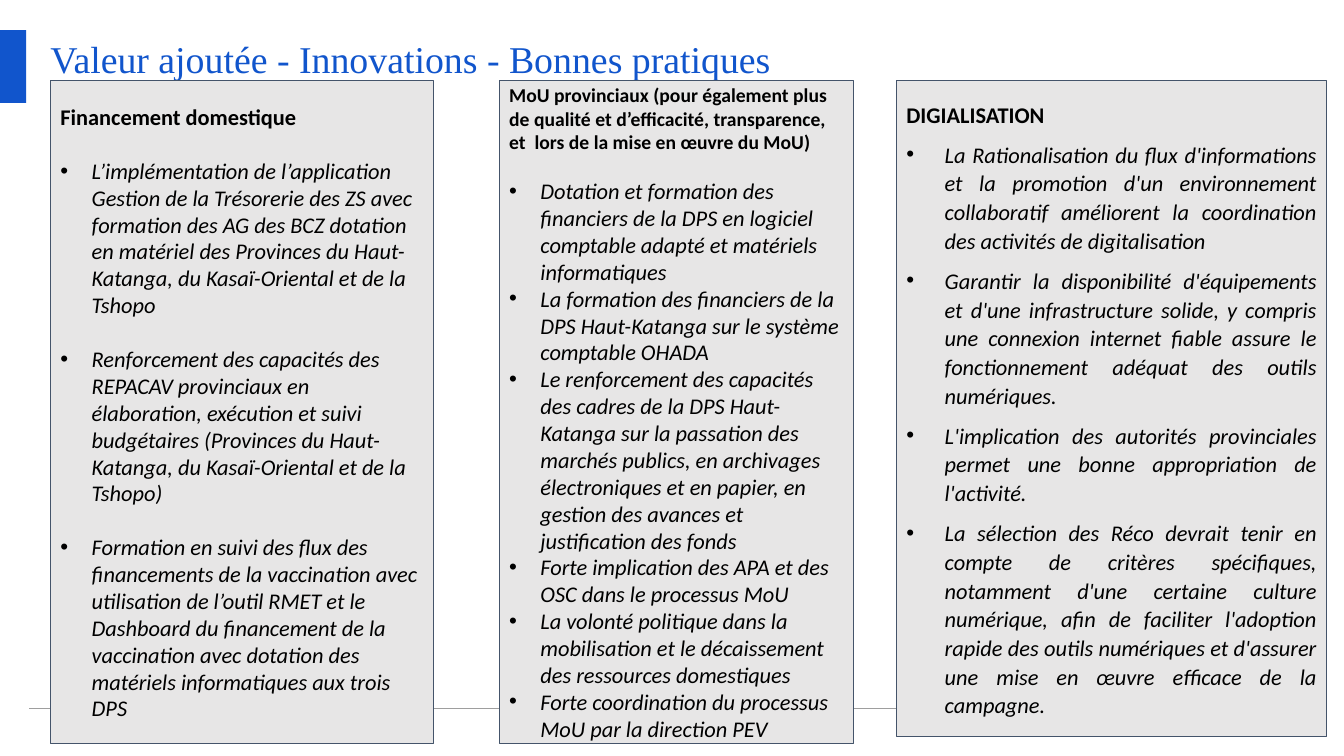
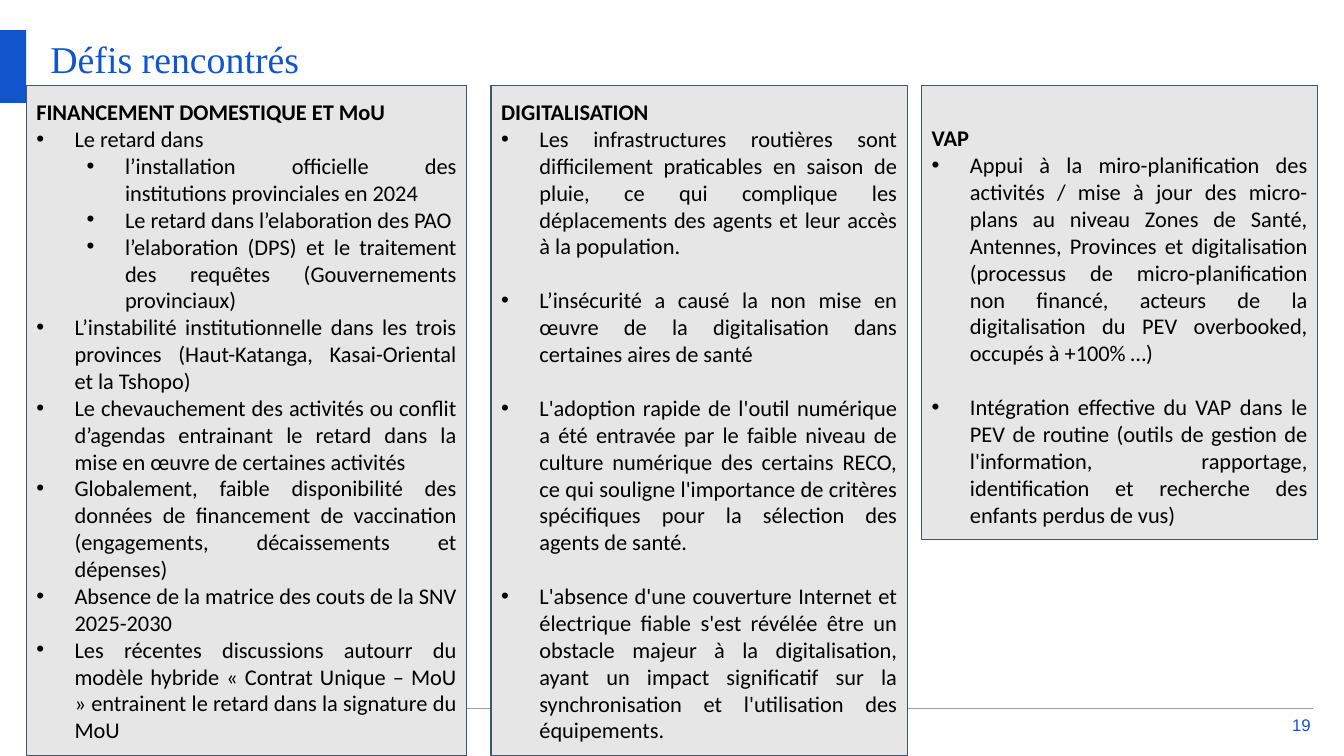
import pptx
import pptx.dml.color
import pptx.enum.shapes
import pptx.enum.text
import pptx.oxml
import pptx.oxml.ns
import pptx.util

Inches = pptx.util.Inches
Pt = pptx.util.Pt
ALIGN = pptx.enum.text.PP_ALIGN
ANCHOR = pptx.enum.text.MSO_ANCHOR

COLORS = {
    "accent": "1155CC",
    "rule": "9E9E9E",
    "panel": "E7E6E6",
    "border": "44546A",
    "text": "000000",
}
BLANK_LINE = 19.3  # height in points of one line of 16 pt text
SUB_INDENT = 0.5


def rgb(name):
    return pptx.dml.color.RGBColor.from_string(COLORS[name])


def add_element(parent, tag, **attributes):
    element = pptx.oxml.parse_xml(f"<{tag} {pptx.oxml.ns.nsdecls('a')}/>")
    for name, value in attributes.items():
        element.set(name, value)
    parent.append(element)


class Deck:
    """Holds the shared style and the slide being built."""

    def __init__(self):
        self.presentation = pptx.Presentation()
        self.presentation.slide_width = Inches(13.33)
        self.presentation.slide_height = Inches(7.5)
        self.slide = None

    def new_slide(self, title, number=None):
        # The comparison layout offers a title and four body placeholders
        layout = self.presentation.slide_layouts[4]
        self.slide = self.presentation.slides.add_slide(layout)
        self.title(title)
        self.band()
        if number:
            self.page_number(number)
        self.footer_rule()

    def place(self, shape, left, top, width, height):
        shape.left, shape.top = Inches(left), Inches(top)
        shape.width, shape.height = Inches(width), Inches(height)

    def frame(self, shape, margin, anchor):
        text_frame = shape.text_frame
        text_frame.word_wrap = True
        text_frame.auto_size = pptx.enum.text.MSO_AUTO_SIZE.NONE
        text_frame.vertical_anchor = anchor
        text_frame.margin_left = text_frame.margin_right = Inches(margin)
        text_frame.margin_top = text_frame.margin_bottom = Inches(margin)
        return text_frame

    def format(self, paragraph, font, size, color, align, bold=False, italic=False):
        paragraph.alignment = align
        for run in paragraph.runs:
            run.font.name = font
            run.font.size = Pt(size)
            run.font.bold = bold
            run.font.italic = italic
            run.font.color.rgb = rgb(color)

    def title(self, text):
        shape = self.slide.shapes.title
        self.place(shape, 0.5, 0.35, 12.33, 0.8)
        text_frame = self.frame(shape, 0, ANCHOR.TOP)
        text_frame.text = text
        self.format(text_frame.paragraphs[0], "Times New Roman", 27, "accent", ALIGN.LEFT)

    def band(self):
        shape = self.slide.shapes.add_shape(
            pptx.enum.shapes.MSO_SHAPE.RECTANGLE,
            Inches(0), Inches(0.3), Inches(0.26), Inches(0.72))
        shape.shadow.inherit = False
        shape.fill.solid()
        shape.fill.fore_color.rgb = rgb("accent")
        shape.line.fill.background()

    def page_number(self, number):
        shape = self.slide.shapes.add_textbox(
            Inches(12.75), Inches(7.1), Inches(0.25), Inches(0.18))
        text_frame = self.frame(shape, 0, ANCHOR.MIDDLE)
        text_frame.text = str(number)
        self.format(text_frame.paragraphs[0], "Arial", 12, "accent", ALIGN.RIGHT)

    def footer_rule(self):
        line = self.slide.shapes.add_connector(
            pptx.enum.shapes.MSO_CONNECTOR.STRAIGHT,
            Inches(0.29), Inches(7.03), Inches(13.02), Inches(7.03))
        line.line.color.rgb = rgb("rule")
        line.line.width = Pt(1)
        add_element(line.element.spPr, "a:effectLst")

    def bullet(self, paragraph, indent):
        properties = paragraph._p.get_or_add_pPr()
        left = indent + SUB_INDENT * paragraph.level if indent else 0
        properties.set("marL", str(Inches(left)))
        properties.set("indent", str(Inches(-indent)))
        if indent:
            add_element(properties, "a:buFont", typeface="Arial")
            add_element(properties, "a:buChar", char="•")
        else:
            add_element(properties, "a:buNone")

    def panel(self, index, box, heading, items, heading_size=16, indent=0.38,
              align=ALIGN.JUSTIFY, italic=False, first_gap=0, gap=0,
              after=0, line_spacing=1.0, extra_top=0):
        """Grey column: a bold heading, then bullets; a nested list is a sublevel."""
        shape = self.slide.placeholders[index]
        # Bring the column in front of the footer rule
        shape.element.getparent().append(shape.element)
        self.place(shape, *box)
        shape.fill.solid()
        shape.fill.fore_color.rgb = rgb("panel")
        shape.line.color.rgb = rgb("border")
        shape.line.width = Pt(0.77)

        entries = [(heading, 0)]
        for item in items:
            if isinstance(item, list):
                entries += [(text, 1) for text in item]
            else:
                entries.append((item, 0))

        text_frame = self.frame(shape, 0.1, ANCHOR.MIDDLE)
        text_frame.margin_top = Inches(0.1 + extra_top)
        text_frame.text = "\n".join(text for text, _ in entries)
        for row, paragraph in enumerate(text_frame.paragraphs):
            is_heading = row == 0
            paragraph.level = entries[row][1]
            self.bullet(paragraph, 0 if is_heading else indent)
            paragraph.line_spacing = line_spacing
            paragraph.space_before = Pt((0, first_gap)[row] if row < 2 else gap)
            paragraph.space_after = Pt(after)
            self.format(paragraph, "Calibri", heading_size if is_heading else 16,
                        "text", align, bold=is_heading,
                        italic=italic and not is_heading)

    def remove_empty_placeholders(self):
        for shape in list(self.slide.placeholders):
            if not shape.text_frame.text:
                shape.element.getparent().remove(shape.element)


def added_value_slide(deck):
    deck.new_slide("Valeur ajoutée - Innovations - Bonnes pratiques")
    deck.panel(1, (0.5, 0.8, 3.8, 6.58), "Financement domestique", [
        "L’implémentation de l’application Gestion de la Trésorerie des ZS avec "
        "formation des AG des BCZ dotation en matériel des Provinces du "
        "Haut-Katanga, du Kasaï-Oriental et de la Tshopo",
        "Renforcement des capacités des REPACAV provinciaux en élaboration, "
        "exécution et suivi budgétaires (Provinces du Haut-Katanga, du "
        "Kasaï-Oriental et de la Tshopo)",
        "Formation en suivi des flux des financements de la vaccination avec "
        "utilisation de l’outil RMET et le Dashboard du financement de la "
        "vaccination avec dotation des matériels informatiques aux trois DPS",
    ], indent=0.31, align=ALIGN.LEFT, italic=True,
        first_gap=BLANK_LINE, gap=BLANK_LINE)
    deck.panel(2, (4.95, 0.8, 3.52, 6.58),
               "MoU provinciaux (pour également plus de qualité et d’efficacité, "
               "transparence, et  lors de la mise en œuvre du MoU)", [
        "Dotation et formation des financiers de la DPS en logiciel comptable "
        "adapté et matériels informatiques",
        "La formation des financiers de la DPS Haut-Katanga sur le système "
        "comptable OHADA",
        "Le renforcement des capacités des cadres de la DPS Haut-Katanga sur la "
        "passation des marchés publics, en archivages électroniques et en papier, "
        "en gestion des avances et justification des fonds",
        "Forte implication des APA et des OSC dans le processus MoU",
        "La volonté politique dans la mobilisation et le décaissement des "
        "ressources domestiques",
        "Forte coordination du processus MoU par la direction PEV",
    ], heading_size=14, indent=0.31, align=ALIGN.LEFT, italic=True, first_gap=17)
    deck.panel(3, (8.89, 0.8, 4.27, 6.51), "DIGIALISATION", [
        "La Rationalisation du flux d'informations et la promotion d'un "
        "environnement collaboratif améliorent la coordination des activités de "
        "digitalisation",
        "Garantir la disponibilité d'équipements et d'une infrastructure solide, "
        "y compris une connexion internet fiable assure le fonctionnement adéquat "
        "des outils numériques.",
        "L'implication des autorités provinciales permet une bonne appropriation "
        "de l'activité.",
        "La sélection des Réco devrait tenir en compte de critères spécifiques, "
        "notamment d'une certaine culture numérique, afin de faciliter l'adoption "
        "rapide des outils numériques et d'assurer une mise en œuvre efficace de "
        "la campagne.",
    ], italic=True, after=8, line_spacing=1.07)
    deck.remove_empty_placeholders()


def challenges_slide(deck):
    deck.new_slide("Défis rencontrés", number=19)
    deck.panel(1, (0.26, 0.85, 4.37, 6.65), "FINANCEMENT DOMESTIQUE ET MoU", [
        "Le retard dans",
        ["l’installation officielle des institutions provinciales en 2024",
         "Le retard dans l’elaboration des PAO",
         "l’elaboration (DPS) et le traitement des requêtes (Gouvernements "
         "provinciaux)"],
        "L’instabilité institutionnelle dans les trois provinces (Haut-Katanga, "
        "Kasai-Oriental et la Tshopo)",
        "Le chevauchement des activités ou conflit d’agendas entrainant le retard "
        "dans la mise en œuvre de certaines activités",
        "Globalement, faible disponibilité des données de financement de "
        "vaccination (engagements, décaissements et dépenses)",
        "Absence de la matrice des couts de la SNV 2025-2030",
        "Les récentes discussions autourr du modèle hybride « Contrat Unique – "
        "MoU » entrainent le retard dans la signature du MoU",
    ])
    deck.panel(2, (4.87, 0.85, 4.13, 6.65), "DIGITALISATION", [
        "Les infrastructures routières sont difficilement praticables en saison de "
        "pluie, ce qui complique les déplacements des agents et leur accès à la "
        "population.",
        "L’insécurité a causé la non mise en œuvre de la digitalisation dans "
        "certaines aires de santé",
        "L'adoption rapide de l'outil numérique a été entravée par le faible niveau "
        "de culture numérique des certains RECO, ce qui souligne l'importance de "
        "critères spécifiques pour la sélection des agents de santé.",
        "L'absence d'une couverture Internet et électrique fiable s'est révélée "
        "être un obstacle majeur à la digitalisation, ayant un impact significatif "
        "sur la synchronisation et l'utilisation des équipements.",
    ], gap=BLANK_LINE)
    deck.panel(3, (9.14, 0.85, 3.93, 4.5), "VAP", [
        "Appui à la miro-planification des activités / mise à jour des micro-plans "
        "au niveau Zones de Santé, Antennes, Provinces et digitalisation (processus "
        "de micro-planification non financé, acteurs de la digitalisation du PEV "
        "overbooked, occupés à +100% …)",
        "Intégration effective du VAP dans le PEV de routine (outils de gestion de "
        "l'information, rapportage, identification et recherche des enfants perdus "
        "de vus)",
    ], gap=BLANK_LINE, extra_top=0.27)
    deck.remove_empty_placeholders()


def main():
    deck = Deck()
    added_value_slide(deck)
    challenges_slide(deck)
    deck.presentation.save("out.pptx")


if __name__ == "__main__":
    main()
